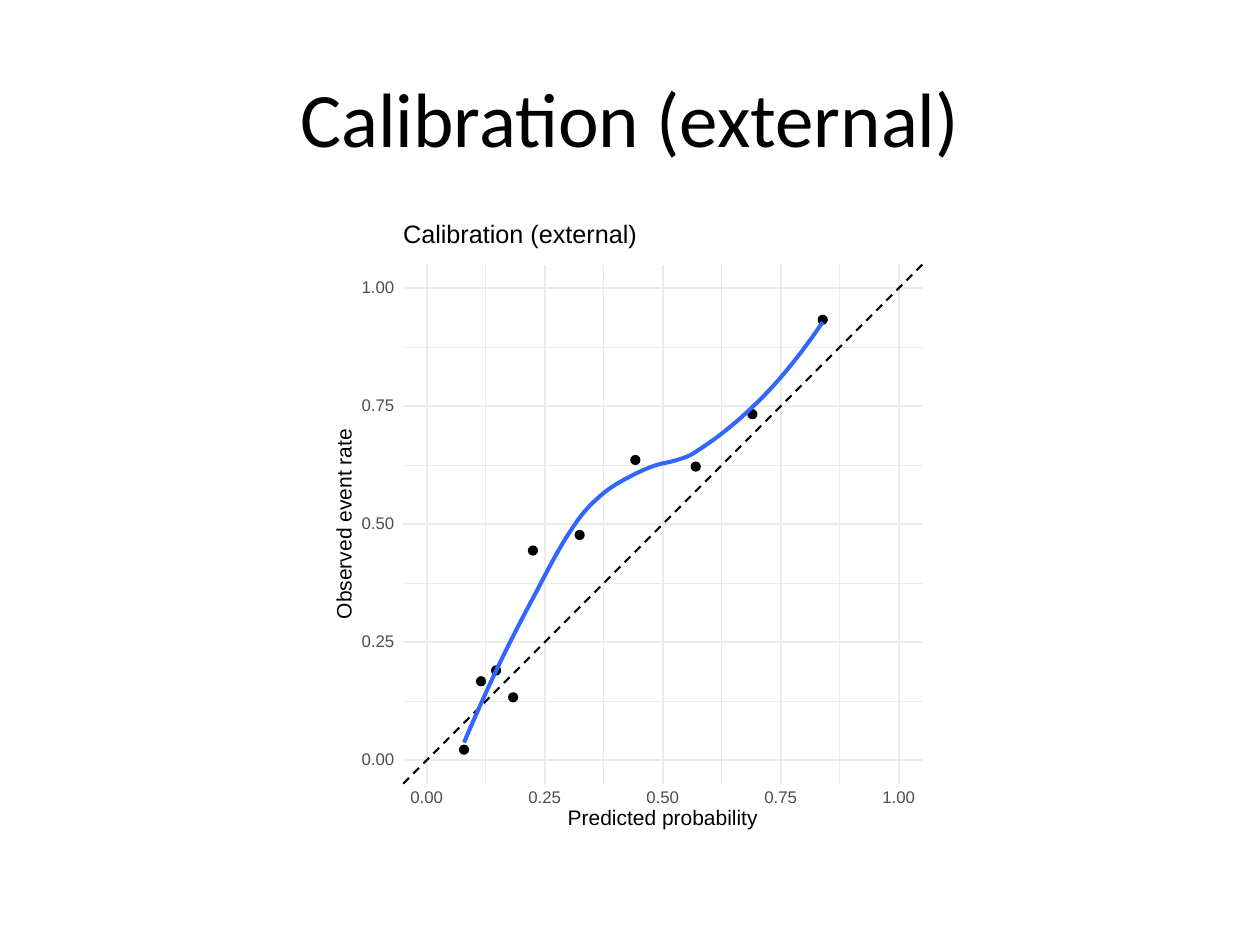
from lxml.etree import SubElement
from pptx import Presentation
from pptx.dml.color import RGBColor
from pptx.enum.dml import MSO_LINE
from pptx.enum.shapes import MSO_CONNECTOR, MSO_SHAPE
from pptx.enum.text import MSO_ANCHOR, PP_ALIGN
from pptx.oxml.ns import qn
from pptx.util import Inches, Pt

BLACK = RGBColor(0x00, 0x00, 0x00)
WHITE = RGBColor(0xFF, 0xFF, 0xFF)
GRID = RGBColor(0xEB, 0xEB, 0xEB)
TICK = RGBColor(0x4D, 0x4D, 0x4D)
BLUE = RGBColor(0x33, 0x66, 0xFF)

# Content: (predicted probability, observed event rate), in percent
TITLE = "Calibration (external)"
X_TITLE = "Predicted probability"
Y_TITLE = "Observed event rate"
POINTS = [(7.9, 2.2), (11.5, 16.7), (14.7, 19), (18.3, 13.3), (22.5, 44.4),
          (32.4, 47.7), (44.2, 63.6), (57, 62.2), (69, 73.3), (83.9, 93.3)]
# Knots that the smoothed curve passes through, in percent
KNOTS = [(7.9, 3.7), (15.6, 20.8), (23.3, 35.8), (29.1, 46.4), (32.9, 52),
         (36.8, 56), (43.5, 60.3), (48.3, 62.4), (53.1, 63.6), (56, 64.7),
         (57.9, 65.9), (65.6, 71.7), (75.2, 81.3), (83.9, 92.8)]
STEPS_PER_KNOT = 8

# Axes in percent: major gridlines, minor ones halfway, 5 % margin at each end
MAJOR = [0, 25, 50, 75, 100]
MINOR = [(low + high) / 2 for low, high in zip(MAJOR, MAJOR[1:])]
LOW, HIGH = -5, 105

# Square plot panel, in inches
PANEL_LEFT, PANEL_TOP, PANEL_SIDE = 3.2, 2.1, 4.12
PANEL_MIDDLE_X = PANEL_LEFT + PANEL_SIDE / 2
PANEL_MIDDLE_Y = PANEL_TOP + PANEL_SIDE / 2
DOT = 0.07
TICK_SIZE = (0.26, 0.1)
AXIS_TITLE_SIZE = (1.51, 0.15)
Y_TICK_MIDDLE, Y_TITLE_MIDDLE = 3, 2.74
X_TICK_MIDDLE, X_TITLE_MIDDLE = 6.34, 6.5


def plot_x(percent):
    return PANEL_LEFT + PANEL_SIDE * (percent - LOW) / (HIGH - LOW)


def plot_y(percent):
    return PANEL_TOP + PANEL_SIDE * (HIGH - percent) / (HIGH - LOW)


def plot_point(point):
    return Inches(plot_x(point[0])), Inches(plot_y(point[1]))


def centred(middle_x, middle_y, width, height):
    return middle_x - width / 2, middle_y - height / 2, width, height


def knot_slopes(knots):
    """Slope at each knot: the two neighbouring chords, weighted by distance."""
    gaps = [b[0] - a[0] for a, b in zip(knots, knots[1:])]
    chords = [(b[1] - a[1]) / gap for a, b, gap in zip(knots, knots[1:], gaps)]
    inner = [(chords[i] * gaps[i + 1] + chords[i + 1] * gaps[i])
             / (gaps[i] + gaps[i + 1]) for i in range(len(gaps) - 1)]
    first = 2 * chords[0] - inner[0]
    last = 2 * chords[-1] - inner[-1]
    return [first, *inner, last]


def smooth_points(knots):
    """Cubic Hermite spline through the knots."""
    slopes = knot_slopes(knots)
    points = [knots[0]]
    for i, ((x0, y0), (x1, y1)) in enumerate(zip(knots, knots[1:])):
        gap = x1 - x0
        for step in range(1, STEPS_PER_KNOT + 1):
            t = step / STEPS_PER_KNOT
            blend = t * t * (3 - 2 * t)
            bend = slopes[i] * t * (1 - t) ** 2 - slopes[i + 1] * t * t * (1 - t)
            points.append((x0 + gap * t, y0 + (y1 - y0) * blend + gap * bend))
    return points


def add_filled(shapes, kind, area, color, line_width=None):
    shape = shapes.add_shape(kind, *map(Inches, area))
    shape.shadow.inherit = False
    shape.fill.solid()
    shape.fill.fore_color.rgb = color
    if line_width:
        shape.line.color.rgb = color
        shape.line.width = Pt(line_width)
    else:
        shape.line.fill.background()


def add_line(shapes, start, end, color, width, dash=None):
    line = shapes.add_connector(MSO_CONNECTOR.STRAIGHT,
                                *plot_point(start), *plot_point(end))
    line.line.color.rgb = color
    line.line.width = Pt(width)
    if dash:
        line.line.dash_style = dash
    SubElement(line._element.spPr, qn("a:effectLst"))


def add_curve(shapes, points, color, width):
    start, *rest = map(plot_point, points)
    builder = shapes.build_freeform(*start)
    builder.add_line_segments(rest, close=False)
    curve = builder.convert_to_shape()
    curve.shadow.inherit = False
    curve.fill.background()
    curve.line.color.rgb = color
    curve.line.width = Pt(width)


def add_label(shapes, text, area, size, color, rotation=0):
    box = shapes.add_textbox(*map(Inches, area))
    box.rotation = rotation
    frame_format = {"margin_left": 0, "margin_right": 0, "margin_top": 0,
                    "margin_bottom": 0, "word_wrap": False,
                    "vertical_anchor": MSO_ANCHOR.MIDDLE}
    for name, value in frame_format.items():
        setattr(box.text_frame, name, value)
    para = box.text_frame.paragraphs[0]
    para.line_spacing = Pt(size)
    span = para.add_run()
    span.text = text
    span.font.name = "Arial"
    span.font.size = Pt(size)
    span.font.color.rgb = color


def add_title(page):
    title = page.shapes.title
    place = {"left": 0.5, "top": 0.3, "width": 9, "height": 1.25}
    for name, value in place.items():
        setattr(title, name, Inches(value))
    title.text_frame.text = TITLE
    title.text_frame.vertical_anchor = MSO_ANCHOR.MIDDLE
    para = title.text_frame.paragraphs[0]
    para.alignment = PP_ALIGN.CENTER
    font = para.runs[0].font
    font.name, font.size, font.color.rgb = "Calibri", Pt(44), BLACK


def add_plot(shapes):
    # Background
    add_filled(shapes, MSO_SHAPE.RECTANGLE, (0.5, 1.75, 9, 4.95), WHITE, 0.75)
    add_filled(shapes, MSO_SHAPE.RECTANGLE, (2.59, 1.75, 4.82, 4.95), WHITE)

    # Grid and line of perfect calibration
    for values, width in ((MINOR, 0.58), (MAJOR, 1.16)):
        for value in values:
            add_line(shapes, (LOW, value), (HIGH, value), GRID, width)
        for value in values:
            add_line(shapes, (value, LOW), (value, HIGH), GRID, width)
    add_line(shapes, (LOW, LOW), (HIGH, HIGH), BLACK, 1.16, MSO_LINE.DASH)

    # Points and smoothed curve
    for predicted, observed in POINTS:
        area = centred(plot_x(predicted), plot_y(observed), DOT, DOT)
        add_filled(shapes, MSO_SHAPE.OVAL, area, BLACK, 0.77)
    add_curve(shapes, smooth_points(KNOTS), BLUE, 2.33)

    # Tick labels
    y_middles = [(Y_TICK_MIDDLE, plot_y(value)) for value in MAJOR]
    x_middles = [(plot_x(value), X_TICK_MIDDLE) for value in MAJOR]
    for middles in (y_middles, x_middles):
        for value, middle in zip(MAJOR, middles):
            add_label(shapes, f"{value / 100:.2f}",
                      centred(*middle, *TICK_SIZE), 9.6, TICK)

    # Axis titles and plot title
    add_label(shapes, X_TITLE,
              centred(PANEL_MIDDLE_X, X_TITLE_MIDDLE, *AXIS_TITLE_SIZE), 12, BLACK)
    add_label(shapes, Y_TITLE,
              centred(Y_TITLE_MIDDLE, PANEL_MIDDLE_Y, *AXIS_TITLE_SIZE), 12, BLACK, 270)
    add_label(shapes, TITLE, (PANEL_LEFT, 1.78, 1.86, 0.19), 14.4, BLACK)


def main():
    deck = Presentation()
    deck.slide_width, deck.slide_height = Inches(10), Inches(7.5)
    page = deck.slides.add_slide(deck.slide_layouts[5])
    add_title(page)
    add_plot(page.shapes.add_group_shape().shapes)
    deck.save("out.pptx")


if __name__ == "__main__":
    main()
